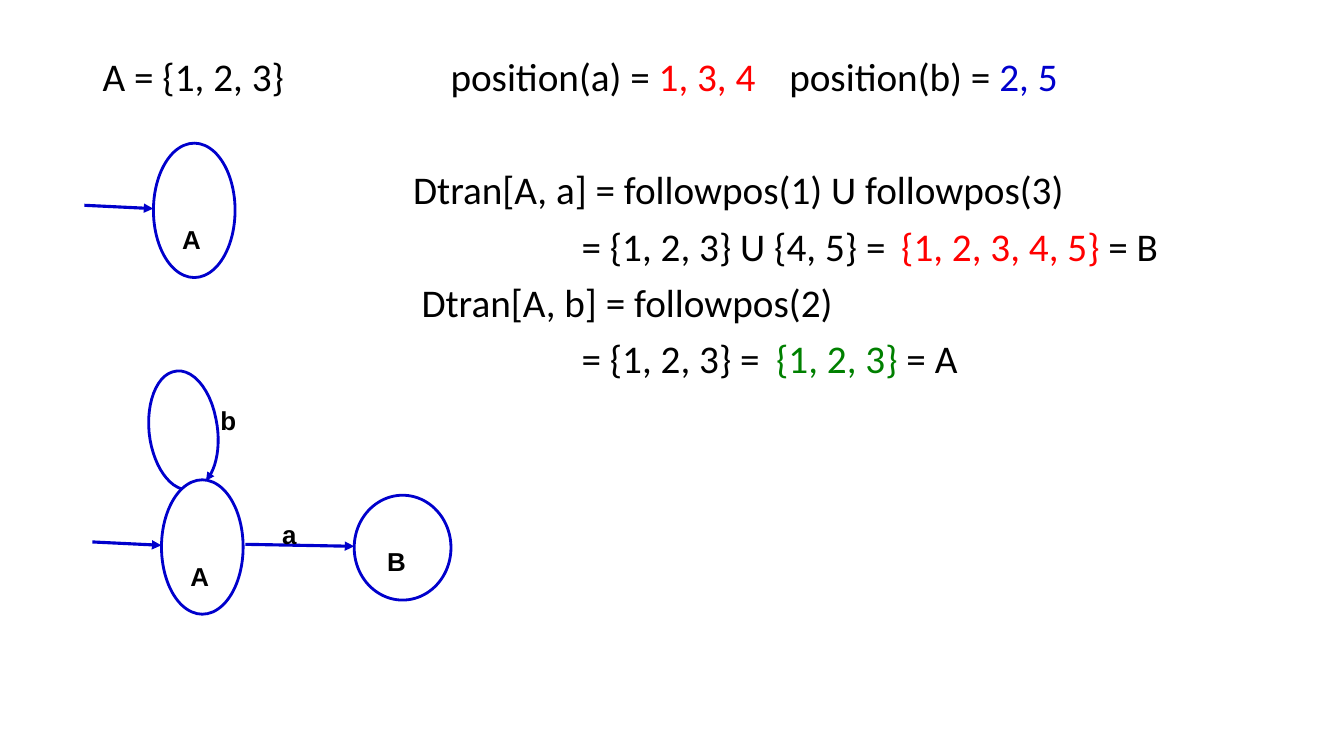
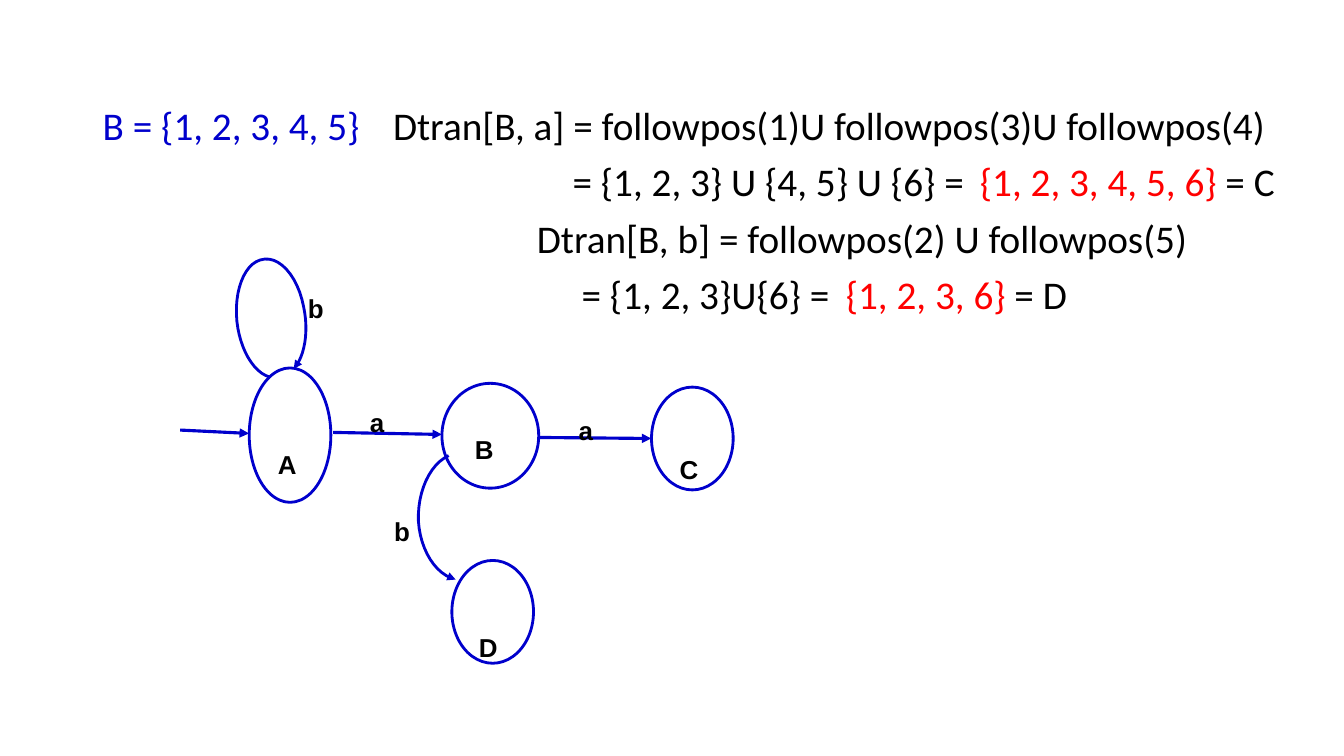
import pptx
import pptx.util
import pptx.dml.color
import pptx.enum.shapes
import pptx.enum.text
import pptx.oxml.ns
import lxml.etree

# Shared style; the slide is a grid of 40 columns by 22.5 rows
COLORS = {"text": "000000", "line": "0000CC", "blue": "0000CC",
          "red": "FF0000", "green": "008000"}
WIDTH, HEIGHT = pptx.util.Inches(13.33), pptx.util.Inches(7.5)
CELL = HEIGHT / 22.5
OVAL, CIRCLE, SMALL_OVAL = (2.43, 4), (2.88, 3.12), (2.43, 3.06)
LOOP = [(-0.62, -1.73), (-1.1, -1.88), (-1.49, -2.57), (-1.58, -3.38),
        (-1.67, -4.28), (-1.37, -5.06), (-0.89, -5.21),
        (-0.35, -5.39), (0.23, -4.76), (0.41, -3.8),
        (0.56, -3.08), (0.44, -2.33), (0.11, -1.97)]


def grid(n):
    return pptx.util.Emu(round(n * CELL))


def rgb(name):
    return pptx.dml.color.RGBColor.from_string(COLORS[name])


def sub(parent, tag, **attrs):
    return lxml.etree.SubElement(parent, pptx.oxml.ns.qn(tag), **attrs)


def style_line(sp, width, arrow=False):
    sp.line.color.rgb = rgb("line")
    sp.line.width = pptx.util.Pt(width)
    if arrow:
        sub(sp.line._get_or_add_ln(), "a:tailEnd", type="triangle")


# Text
def text_box(s, x, y, w, h):
    tf = s.shapes.add_textbox(grid(x), grid(y), grid(w), grid(h)).text_frame
    tf.word_wrap = True
    return tf


def set_font(p, name, size, bold=False):
    p.font.name = name
    p.font.size = pptx.util.Pt(size)
    p.font.bold = bold
    p.font.color.rgb = rgb("text")


def derivation(s, x, y, w, h, lines):
    """Each line is (space before, tab stops, [(text, colour), ...])."""
    tf = text_box(s, x, y, w, h)
    for i, (before, stops, runs) in enumerate(lines):
        p = tf.add_paragraph() if i else tf.paragraphs[0]
        p.line_spacing = 0.9
        p.space_before = pptx.util.Pt(before)
        tabs = sub(p._p.get_or_add_pPr(), "a:tabLst")
        for stop in stops:
            sub(tabs, "a:tab", pos=str(grid(stop)), algn="l")
        set_font(p, "Calibri", 28)
        for text, color in runs:
            r = p.add_run()
            r.text = text
            r.font.color.rgb = rgb(color)


def label(s, text, x, y):
    tf = text_box(s, x - 0.6, y - 0.6, 1.2, 1.2)
    tf.margin_left = tf.margin_right = tf.margin_top = tf.margin_bottom = 0
    tf.vertical_anchor = pptx.enum.text.MSO_ANCHOR.MIDDLE
    p = tf.paragraphs[0]
    p.alignment = pptx.enum.text.PP_ALIGN.CENTER
    set_font(p, "Arial", 18.5, bold=True)
    p.add_run().text = text


# Automaton parts
def state(s, name, x, y, size, dx, dy):
    w, h = size
    sp = s.shapes.add_shape(pptx.enum.shapes.MSO_SHAPE.OVAL, grid(x - w / 2),
                            grid(y - h / 2), grid(w), grid(h))
    sp.shadow.inherit = False
    sp.fill.background()
    style_line(sp, 2)
    label(s, name, x + dx, y + dy)


def arrow(s, x1, y1, x2, y2):
    sp = s.shapes.add_connector(pptx.enum.shapes.MSO_CONNECTOR.STRAIGHT,
                                grid(x1), grid(y1), grid(x2), grid(y2))
    style_line(sp, 2.25, arrow=True)
    sub(sp._element.spPr, "a:effectLst")


def bezier(a, b, c, d, t):
    u = 1 - t
    return tuple(grid(u**3 * a[i] + 3 * u * u * t * b[i]
                      + 3 * u * t * t * c[i] + t**3 * d[i]) for i in (0, 1))


def curved_arrow(s, points, steps=12):
    dots = [bezier(*points[i:i + 4], k / steps)
            for i in range(0, len(points) - 1, 3)
            for k in range(1, steps + 1)]
    fb = s.shapes.build_freeform(grid(points[0][0]), grid(points[0][1]))
    fb.add_line_segments(dots, close=False)
    sp = fb.convert_to_shape()
    sp.shadow.inherit = False
    sp.fill.background()
    style_line(sp, 2, arrow=True)


def start_state(s, x, y):
    arrow(s, x - 3.27, y - 0.15, x - 1.22, y - 0.05)
    state(s, "A", x, y, OVAL, -0.08, 0.87)


def states_a_b(s, x, y):
    start_state(s, x, y)
    curved_arrow(s, [(x + dx, y + dy) for dx, dy in LOOP])
    label(s, "b", x + 0.77, y - 3.78)
    arrow(s, x + 1.28, y - 0.08, x + 4.52, y - 0.02)
    label(s, "a", x + 2.59, y - 0.38)
    state(s, "B", x + 5.96, y + 0.02, CIRCLE, -0.18, 0.41)


# Slides
def transitions_of_a(s):
    derivation(s, 2.76, 1.56, 34.5, 18.7, [
        (0, [10.35, 20.43], [("A = {1, 2, 3}\tposition(a) = ", "text"),
                             ("1, 3, 4", "red"),
                             ("\tposition(b) = ", "text"), ("2, 5", "blue")]),
        (50.8, [9.24], [("\tDtran[A, a] = followpos(1) U followpos(3)", "text")]),
        (10, [14.25, 23.76], [("\t= {1, 2, 3} U {4, 5} =\t", "text"),
                              ("{1, 2, 3, 4, 5}", "red"), (" = B", "text")]),
        (10, [9.49], [("\tDtran[A, b] = followpos(2)", "text")]),
        (10, [14.25, 20.04], [("\t= {1, 2, 3} =\t", "text"),
                              ("{1, 2, 3}", "green"), (" = A", "text")]),
    ])
    start_state(s, 5.78, 6.26)
    states_a_b(s, 6.02, 16.28)


def transitions_of_b(s):
    derivation(s, 2.76, 3.02, 35.85, 17.2, [
        (0, [8.64], [("B = {1, 2, 3, 4, 5}", "blue"),
                     ("\tDtran[B, a] = followpos(1)U followpos(3)U followpos(4)",
                      "text")]),
        (10, [13.98, 26.1], [("\t= {1, 2, 3} U {4, 5} U {6} =\t", "text"),
                             ("{1, 2, 3, 4, 5, 6}", "red"), (" = C", "text")]),
        (10, [12.92], [("\tDtran[B, b] = followpos(2) U followpos(5)", "text")]),
        (10, [14.25, 22.11], [("\t= {1, 2, 3}U{6} =\t", "text"),
                              ("{1, 2, 3, 6}", "red"), (" = D", "text")]),
    ])
    states_a_b(s, 8.63, 12.95)
    state(s, "C", 20.6, 13.05, SMALL_OVAL, -0.1, 0.9)
    state(s, "D", 14.66, 18.21, SMALL_OVAL, -0.13, 1.05)
    arrow(s, 16.02, 13.02, 19.38, 13.05)
    label(s, "a", 17.43, 12.8)
    curved_arrow(s, [(13.35, 13.56), (12.78, 13.83), (12.42, 14.64),
                     (12.45, 15.51), (12.51, 16.38), (12.96, 17.1),
                     (13.56, 17.25)])
    label(s, "b", 11.96, 15.8)


def main():
    prs = pptx.Presentation()
    prs.slide_width, prs.slide_height = WIDTH, HEIGHT
    for build in (transitions_of_a, transitions_of_b):
        build(prs.slides.add_slide(prs.slide_layouts[6]))
    prs.save("out.pptx")


if __name__ == "__main__":
    main()
